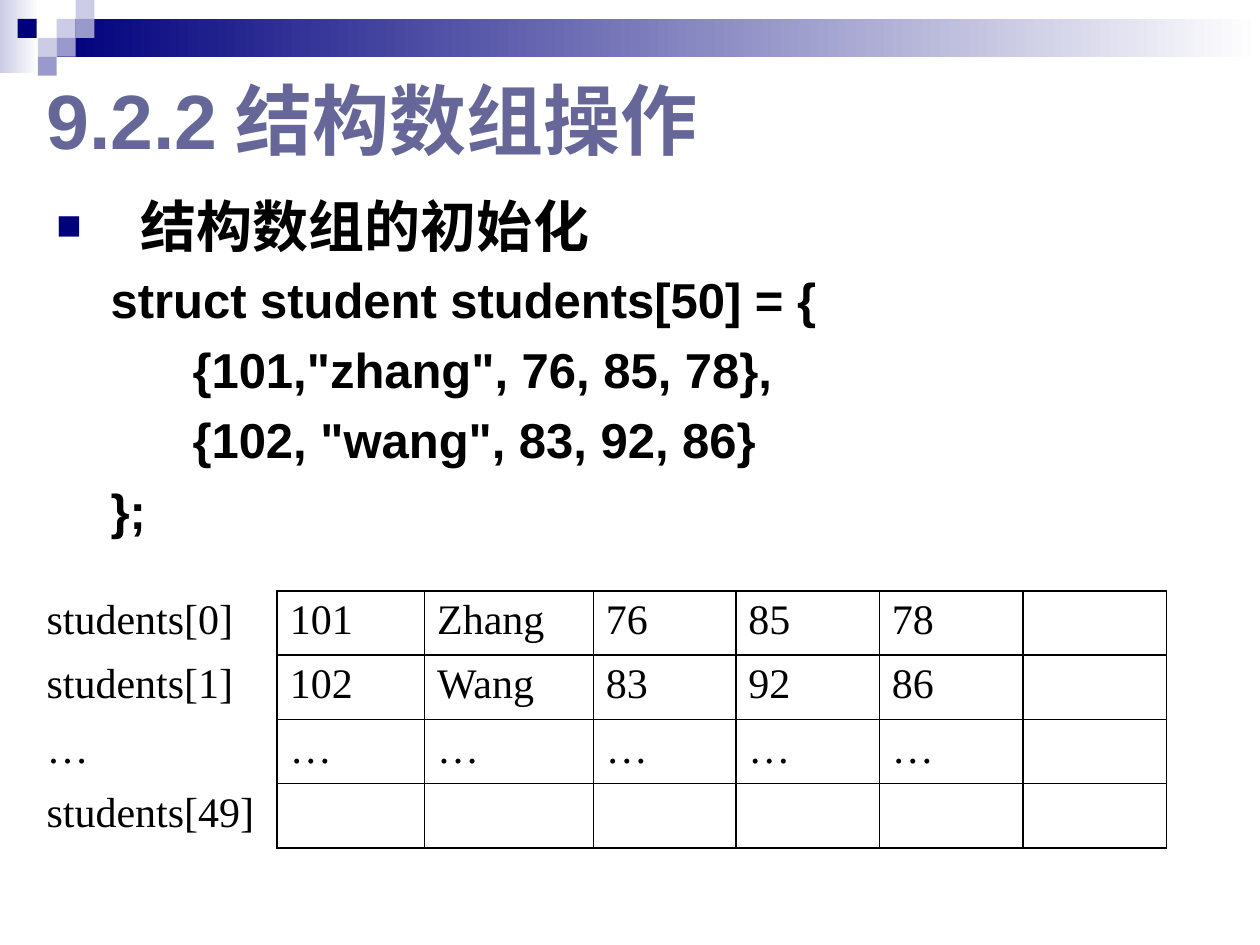
from lxml import etree
from pptx import Presentation
from pptx import util as u
from pptx.dml.color import RGBColor
from pptx.enum import shapes, text
from pptx.oxml.ns import qn

NAVY, LILAC, VIOLET, SLATE = "00007D", "CCCCE6", "9999CC", "666699"
BLACK, WHITE = "000000", "FFFFFF"


def rgb(value):
    """Turn a hex string into a colour."""
    return RGBColor.from_string(value)


def add(parent, tag, **attrs):
    """Append a DrawingML element and return it."""
    return etree.SubElement(parent, qn(tag), {k: str(v) for k, v in attrs.items()})


def write(p, content, size=24, font="Times New Roman", color=BLACK, bold=False,
          left=0, first=0, before=0, bullet=None, tab=None):
    """Fill a paragraph with one formatted run."""
    p.alignment = text.PP_ALIGN.LEFT
    p.space_before = u.Pt(before)
    pPr = p._p.get_or_add_pPr()
    pPr.set("marL", str(u.Inches(left)))
    pPr.set("indent", str(u.Inches(first)))
    if bullet:
        add(add(pPr, "a:buClr"), "a:srgbClr", val=NAVY)
        add(pPr, "a:buSzPct", val=75000)
        add(pPr, "a:buFont", typeface="Arial")
        add(pPr, "a:buChar", char=bullet)
    if tab:
        add(add(pPr, "a:tabLst"), "a:tab", pos=u.Inches(tab), algn="l")
    r = p.add_run()
    r.text = content
    r.font.size, r.font.name, r.font.bold = u.Pt(size), font, bold
    r.font.color.rgb = rgb(color)


class Deck:
    """Hold the style and the current slide."""

    heading = dict(font="Arial", bold=True)

    def __init__(self, prs):
        """Add a blank slide to work on."""
        self.s = prs.slides.add_slide(prs.slide_layouts[6])

    def rect(self, x, y, w, h, color, end=None):
        """Draw a borderless rectangle, fading to a second colour if given."""
        sp = self.s.shapes.add_shape(shapes.MSO_SHAPE.RECTANGLE, *map(u.Inches, (x, y, w, h)))
        sp.shadow.inherit = False
        sp.line.fill.background()
        if end:
            sp.fill.gradient()
            sp.fill.gradient_angle = 0
            for stop, value in zip(sp.fill.gradient_stops, (color, end)):
                stop.color.rgb = rgb(value)
        else:
            sp.fill.solid()
            sp.fill.fore_color.rgb = rgb(color)

    def box(self, x, y, w, h, lines, anchor=text.MSO_ANCHOR.TOP):
        """Place a text box of (content, format) lines."""
        tf = self.s.shapes.add_textbox(*map(u.Inches, (x, y, w, h))).text_frame
        tf.word_wrap = True
        tf.vertical_anchor = anchor
        for i, (content, style) in enumerate(lines):
            p = tf.add_paragraph() if i else tf.paragraphs[0]
            write(p, content, **{**self.heading, **style})

    def table(self, x, y, widths, row_height, rows):
        """Place a table whose first column holds unboxed row labels."""
        size = u.Inches(sum(widths)), u.Inches(row_height * len(rows))
        tbl = self.s.shapes.add_table(len(rows), len(widths), u.Inches(x), u.Inches(y), *size).table
        tbl.first_row = tbl.horz_banding = False
        for col, width in zip(tbl.columns, widths):
            col.width = u.Inches(width)
        for i, row in enumerate(rows):
            tbl.rows[i].height = u.Inches(row_height)
            for j in range(len(widths)):
                cell = tbl.cell(i, j)
                self.border(cell, "LRTB" if j else "R")
                cell.fill.background()
                if j < len(row):
                    write(cell.text_frame.paragraphs[0], row[j])

    def border(self, cell, sides):
        """Rule the named sides of a cell and clear the others."""
        tcPr = cell._tc.get_or_add_tcPr()
        for side in "LRTB":
            ln = add(tcPr, f"a:ln{side}", w=u.Pt(1))
            if side in sides:
                add(add(ln, "a:solidFill"), "a:srgbClr", val=BLACK)
            else:
                add(ln, "a:noFill")


def main():
    """Build the slide and save it."""
    prs = Presentation()
    prs.slide_width, prs.slide_height = u.Inches(10), u.Inches(7.5)
    deck = Deck(prs)

    deck.rect(0, 0, 0.31, 0.58, LILAC, WHITE)
    deck.rect(0.45, 0.15, 9.55, 0.3, NAVY, WHITE)
    unit = 0.15
    squares = [(0.45, 0.15, LILAC), (0.6, 0, LILAC), (0.6, 0.15, VIOLET), (0.3, 0.3, LILAC),
               (0.14, 0.15, NAVY), (0.45, 0.3, VIOLET), (0.3, 0.45, VIOLET)]
    for x, y, color in squares:
        deck.rect(x, y, unit, unit, color)

    deck.box(0.27, 0.42, 9, 1.05, [("9.2.2\t结构数组操作", dict(size=44, color=SLATE, tab=1.84))],
             text.MSO_ANCHOR.MIDDLE)

    code = dict(size=28, before=6.4, left=0.43)
    item = {**code, "left": 1.08}
    deck.box(0.35, 1.47, 9.3, 2.91, [
        ("结构数组的初始化", dict(size=32, before=7.4, left=0.67, first=-0.67, bullet="■")),
        ("struct student students[50] = {", code),
        ('{101,"zhang", 76, 85, 78},', item),
        ('{102, "wang", 83, 92, 86}', item),
        ("};", code),
    ])

    deck.table(0.27, 4.69, [1.93, 1.17, 1.34, 1.13, 1.14, 1.14, 1.14], 0.51, [
        ["students[0]", "101", "Zhang", "76", "85", "78"],
        ["students[1]", "102", "Wang", "83", "92", "86"],
        ["…"] * 6,
        ["students[49]"],
    ])
    prs.save("out.pptx")


if __name__ == "__main__":
    main()
